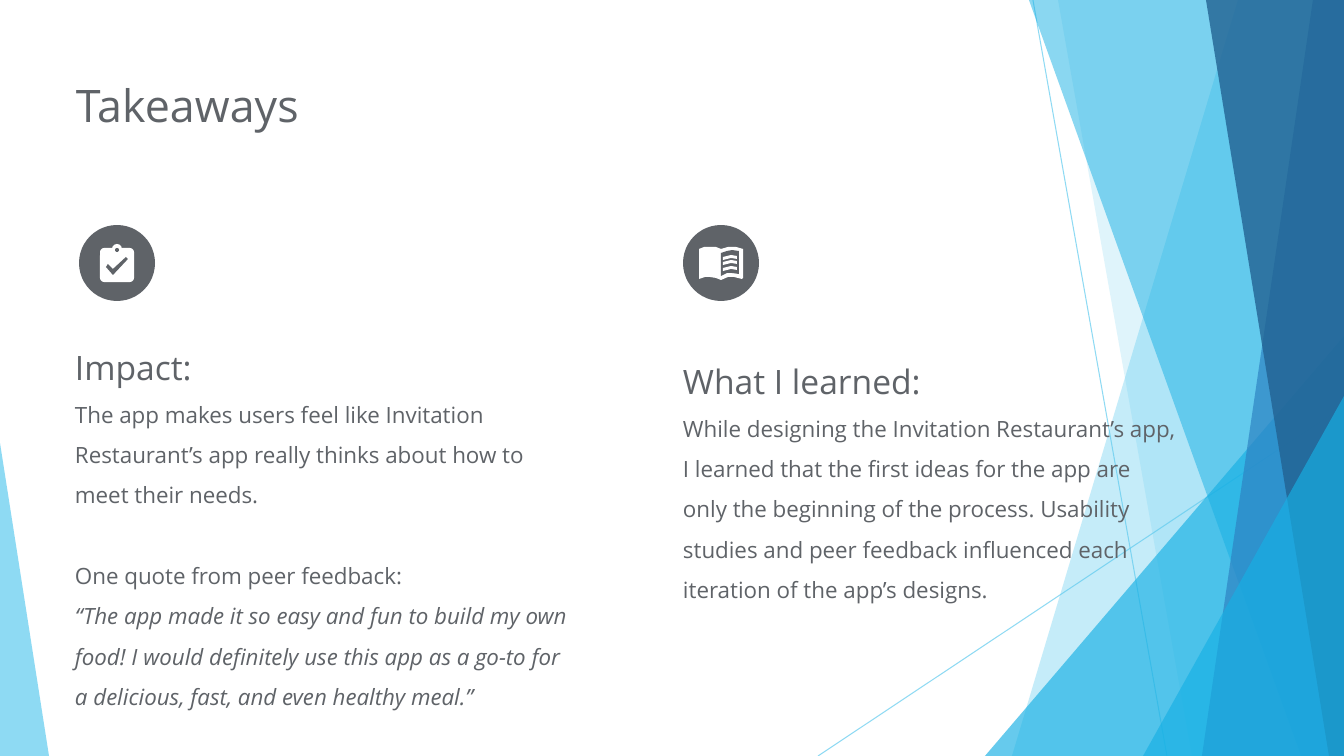
"""Build the Takeaways slide with its faceted blue backdrop."""
from dataclasses import dataclass

from lxml import etree
from pptx import Presentation
from pptx import util as u
from pptx.dml.color import RGBColor
from pptx.enum import shapes, text
from pptx.oxml.ns import qn

SCALE = 914400 / 100.8
W, H = 1344, 756
FONT = "Open Sans"
COLORS = {"sky": "5FCBEF", "cyan": "17B0E4", "blue": "2E83C3",
          "navy": "226292", "gray": "5F6368", "white": "FFFFFF"}
KINDS = shapes.MSO_SHAPE


@dataclass
class Line:
    start: tuple[int, int]
    end: tuple[int, int]


@dataclass
class Poly:
    points: list[tuple[int, int]]
    color: str
    alpha: int = 100


@dataclass
class Preset:
    kind: KINDS
    box: tuple[int, int, int, int]
    color: str
    alpha: int = 100
    adj: float | None = None


@dataclass
class Para:
    words: str
    size: int = 16
    italic: bool = False
    before: float = 0


def band(top: int, bottom: int, color: str, alpha: int) -> Poly:
    """Return a band from a slanted left edge to the right slide edge."""
    return Poly([(top, 0), (W, 0), (W, H), (bottom, H)], color, alpha)


def page_line(dy: int) -> Poly:
    """Return one curved line of print on the book's right page."""
    points = [(723, 257), (731, 255), (737, 256), (737, 259), (731, 258), (723, 260)]
    return Poly([(x, y + dy) for x, y in points], "white")


LINES = [Line((1033, 0), (1167, H)), Line((W, 406), (818, H))]
BACKDROP = [
    band(1238, 1012, "sky", 36),
    band(1058, 1192, "sky", 20),
    Preset(KINDS.ISOSCELES_TRIANGLE, (985, 336, 359, 420), "cyan", 66, 1),
    band(1029, 1301, "cyan", 50),
    band(1313, 1202, "blue", 70),
    band(1206, 1329, "navy", 80),
    Preset(KINDS.ISOSCELES_TRIANGLE, (1143, 396, 201, 360), "cyan", 66, 1),
    Preset(KINDS.ISOSCELES_TRIANGLE, (0, 443, 49, 313), "sky", 70, 0),
]
CLIPBOARD = [
    Preset(KINDS.OVAL, (79, 225, 76, 76), "gray"),
    Preset(KINDS.ROUNDED_RECTANGLE, (100, 248, 34, 34), "white", adj=0.12),
    Preset(KINDS.OVAL, (112, 244, 10, 10), "white"),
    Preset(KINDS.OVAL, (115, 248, 4, 4), "gray"),
    Poly([(113, 275), (106, 267), (108, 264), (113, 269), (126, 257), (128, 259)], "gray"),
]
BOOK = [
    Preset(KINDS.OVAL, (683, 225, 76, 76), "gray"),
    Poly([(710, 247), (704, 247), (699, 249), (699, 279), (705, 277), (710, 277),
          (716, 278), (721, 280), (728, 277), (734, 277), (742, 279), (743, 278),
          (743, 249), (736, 247), (728, 247), (721, 249), (716, 247)], "white"),
    Poly([(732, 250), (739, 251), (739, 274), (732, 273), (727, 273),
          (721, 276), (721, 253), (727, 251)], "gray"),
    *[page_line(dy) for dy in (0, 5, 11)],
]
COLUMNS = [
    ((75, 314, 506, 455), [
        Para("Impact:", 24),
        Para("The app makes users feel like Invitation Restaurant’s app really "
             "thinks about how to meet their needs."),
        Para("One quote from peer feedback:", before=28.8),
        Para("“The app made it so easy and fun to build my own food! I would definitely "
             "use this app as a go-to for a delicious, fast, and even healthy meal.”",
             italic=True),
    ]),
    ((683, 328, 507, 291), [
        Para("What I learned:", 24),
        Para("While designing the Invitation Restaurant’s app, I learned that the first "
             "ideas for the app are only the beginning of the process. Usability studies "
             "and peer feedback influenced each iteration of the app’s designs."),
    ]),
]


def px(n: int) -> int:
    """Convert px to EMU."""
    return round(n * SCALE)


def set_all(obj: object, values: dict) -> None:
    """Set attributes from a dict of format values."""
    for name, value in values.items():
        setattr(obj, name, value)


def paint(fill, color: str, alpha: int) -> None:
    """Apply a solid fill with an opacity in percent."""
    fill.solid()
    fill.fore_color.rgb = RGBColor.from_string(COLORS[color])
    if alpha < 100:
        srgb = fill._xPr.find(".//" + qn("a:srgbClr"))
        etree.SubElement(srgb, qn("a:alpha")).set("val", str(alpha * 1000))


def draw_line(s, item: Line) -> None:
    """Draw one thin backdrop line."""
    sp = s.shapes.add_connector(shapes.MSO_CONNECTOR.STRAIGHT,
                                *map(px, item.start + item.end))
    sp.line.width = u.Pt(0.75)
    paint(sp.line.fill, "sky", 70)
    etree.SubElement(sp._element.spPr, qn("a:effectLst"))


def draw_shape(s, item: Poly | Preset) -> None:
    """Draw a filled polygon or preset shape."""
    if isinstance(item, Poly):
        builder = s.shapes.build_freeform(*item.points[0], scale=SCALE)
        builder.add_line_segments(item.points[1:], close=True)
        sp = builder.convert_to_shape()
    else:
        sp = s.shapes.add_shape(item.kind, *map(px, item.box))
        if item.adj is not None:
            sp.adjustments[0] = item.adj
    sp.shadow.inherit = False
    sp.line.fill.background()
    paint(sp.fill, item.color, item.alpha)


def write(sp, box: tuple[int, int, int, int], paras: list[Para], spacing: float) -> None:
    """Place a text shape and fill it with formatted paragraphs."""
    set_all(sp, dict(zip(("left", "top", "width", "height"), map(px, box))))
    tf = sp.text_frame
    set_all(tf, {"word_wrap": True, "auto_size": text.MSO_AUTO_SIZE.SHAPE_TO_FIT_TEXT,
                 "vertical_anchor": text.MSO_ANCHOR.TOP, "margin_left": 0,
                 "margin_top": px(13), "margin_right": px(12), "margin_bottom": px(13)})
    for i, para in enumerate(paras):
        p = tf.add_paragraph() if i else tf.paragraphs[0]
        set_all(p, {"alignment": text.PP_ALIGN.LEFT, "line_spacing": spacing})
        if para.before:
            p.space_before = u.Pt(para.before)
        r = p.add_run()
        r.text = para.words
        set_all(r.font, {"name": FONT, "size": u.Pt(para.size), "italic": para.italic})
        r.font.color.rgb = RGBColor.from_string(COLORS["gray"])


def main() -> None:
    """Build and save the slide."""
    prs = Presentation()
    set_all(prs, {"slide_width": px(W), "slide_height": px(H)})
    s = prs.slides.add_slide(prs.slide_layouts[5])
    for line in LINES:
        draw_line(s, line)
    for item in BACKDROP + CLIPBOARD + BOOK:
        draw_shape(s, item)
    write(s.shapes.title, (76, 65, 725, 82), [Para("Takeaways", 32)], 1.0)
    for box, paras in COLUMNS:
        write(s.shapes.add_textbox(*map(px, box)), box, paras, 1.5)
    prs.save("out.pptx")


if __name__ == "__main__":
    main()
